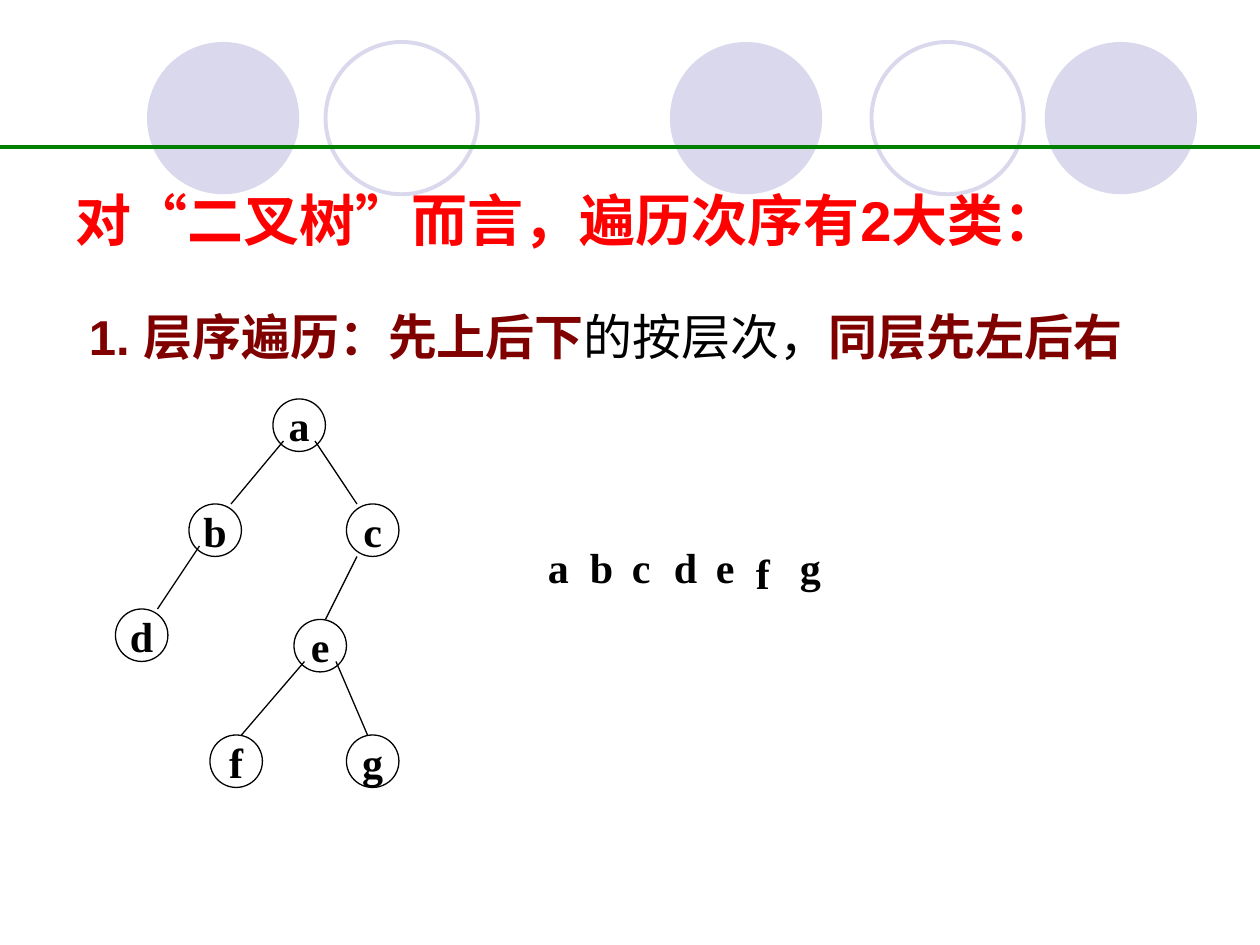
from lxml.etree import SubElement
from pptx import Presentation
from pptx.dml.color import RGBColor
from pptx.enum.shapes import MSO_CONNECTOR, MSO_SHAPE
from pptx.enum.text import MSO_ANCHOR, PP_ALIGN
from pptx.oxml.ns import qn
from pptx.util import Inches, Pt

COLORS = {"lavender": "D9D8EC", "green": "008000", "red": "FF0000",
          "maroon": "800000", "black": "000000"}
CELLS_PER_INCH = 12
COLUMNS, ROWS = 120, 90
NODE_SIZE = 5
CIRCLE_SIZE = 14.5
SERIF = "Times New Roman"

CIRCLES = [(63.8, True), (99.5, True), (14, True), (83, False), (31, False)]
NODES = {"a": (15, 0), "b": (7, 10), "c": (22, 10), "d": (0, 20),
         "e": (17, 21), "f": (9, 32), "g": (22, 32)}
EDGES = [("a", (1, 4), "b", (4, 0)), ("a", (4, 4), "c", (1, 0)),
         ("b", (1, 4), "d", (4, 0)), ("c", (1, 5), "e", (3, 0)),
         ("e", (1, 4), "f", (3, 0)), ("e", (4, 4), "g", (2, 0))]


def cells(count):
    """Return the length of a number of grid cells."""
    return Inches(count / CELLS_PER_INCH)


def color(name):
    """Return a palette colour."""
    return RGBColor.from_string(COLORS[name])


def write(para, text, size=24, font="Arial", ink="black", bold=True):
    """Add one formatted span to a paragraph."""
    span = para.add_run()
    span.text = text
    span.font.name, span.font.size, span.font.bold = font, Pt(size), bold
    span.font.color.rgb = color(ink)


def add_text(page, frame, spans, anchor=MSO_ANCHOR.TOP, **layout):
    """Add a wrapped text box at a grid frame, one paragraph of spans."""
    box = page.shapes.add_textbox(*map(cells, frame))
    box.text_frame.word_wrap = True
    box.text_frame.vertical_anchor = anchor
    para = box.text_frame.paragraphs[0]
    for name, value in layout.items():
        setattr(para, name, value)
    for text, style in spans:
        write(para, text, **style)


def add_line(shapes, start, end, ink="black", width=0.75):
    """Draw a straight line between two grid points."""
    line = shapes.add_connector(MSO_CONNECTOR.STRAIGHT, *map(cells, (*start, *end)))
    line.line.color.rgb, line.line.width = color(ink), Pt(width)
    SubElement(line._element.spPr, qn("a:effectLst"))


def add_circle(shapes, left, top, size, fill=None, ink=None, width=0.75):
    """Draw a circle with an optional fill and outline."""
    circle = shapes.add_shape(MSO_SHAPE.OVAL, *map(cells, (left, top, size, size)))
    circle.shadow.inherit = False
    if fill:
        circle.fill.solid()
        circle.fill.fore_color.rgb = color(fill)
    else:
        circle.fill.background()
    if ink:
        circle.line.color.rgb, circle.line.width = color(ink), Pt(width)
    else:
        circle.line.fill.background()
    return circle


def add_header(page, top, rule_row):
    """Place the row of ornamental circles and the rule across it."""
    group = page.shapes.add_group_shape()
    for left, filled in CIRCLES:
        style = {"fill": "lavender"} if filled else {"ink": "lavender", "width": 2.25}
        add_circle(group.shapes, left, top, CIRCLE_SIZE, **style)
    add_line(page.shapes, (0, rule_row), (COLUMNS, rule_row), ink="green", width=2.5)


def add_headings(page, left, top, width):
    """Place the title and the numbered statement below it."""
    justified = {"alignment": PP_ALIGN.JUSTIFY, "line_spacing": 1.1}
    add_text(page, (left, top, width, 15),
             [("对“二叉树”而言，遍历次序有2大类：", {"size": 32, "ink": "red"})],
             anchor=MSO_ANCHOR.MIDDLE, **justified)
    strong = {"size": 28, "ink": "maroon"}
    add_text(page, (left + 1.3, top + 15, width, 60),
             [("1. 层序遍历：先上后下", strong),
              ("的按层次，", {"size": 28, "bold": False}),
              ("同层先左后右", strong)], **justified)


def add_tree(page, left, top):
    """Place the binary tree with its nodes and edges."""
    shapes = page.shapes.add_group_shape().shapes
    for name, (column, row) in NODES.items():
        node = add_circle(shapes, left + column, top + row, NODE_SIZE, ink="black")
        frame = node.text_frame
        frame.word_wrap = False
        frame.vertical_anchor = MSO_ANCHOR.MIDDLE
        frame.paragraphs[0].alignment = PP_ALIGN.CENTER
        write(frame.paragraphs[0], name, font=SERIF)
    for parent, leave, child, arrive in EDGES:
        start, end = [(left + NODES[name][0] + shift[0], top + NODES[name][1] + shift[1])
                      for name, shift in ((parent, leave), (child, arrive))]
        add_line(shapes, start, end)


def add_sequence(page, left, top, step):
    """Place the visited letters in a row, with f a little lower."""
    for index, name in enumerate(NODES):
        drop = 0.6 if name == "f" else 0
        shift = -0.2 if name == "f" else 0
        add_text(page, (left + index * step + shift, top + drop, 5, 6),
                 [(name, {"font": SERIF})])


def main():
    """Build and save the slide."""
    deck = Presentation()
    deck.slide_width, deck.slide_height = cells(COLUMNS), cells(ROWS)
    page = deck.slides.add_slide(deck.slide_layouts[6])
    add_header(page, top=4, rule_row=14)
    add_headings(page, left=6, top=13, width=106.8)
    add_tree(page, left=11, top=38)
    add_sequence(page, left=51, top=51, step=4)
    deck.save("out.pptx")


if __name__ == "__main__":
    main()
